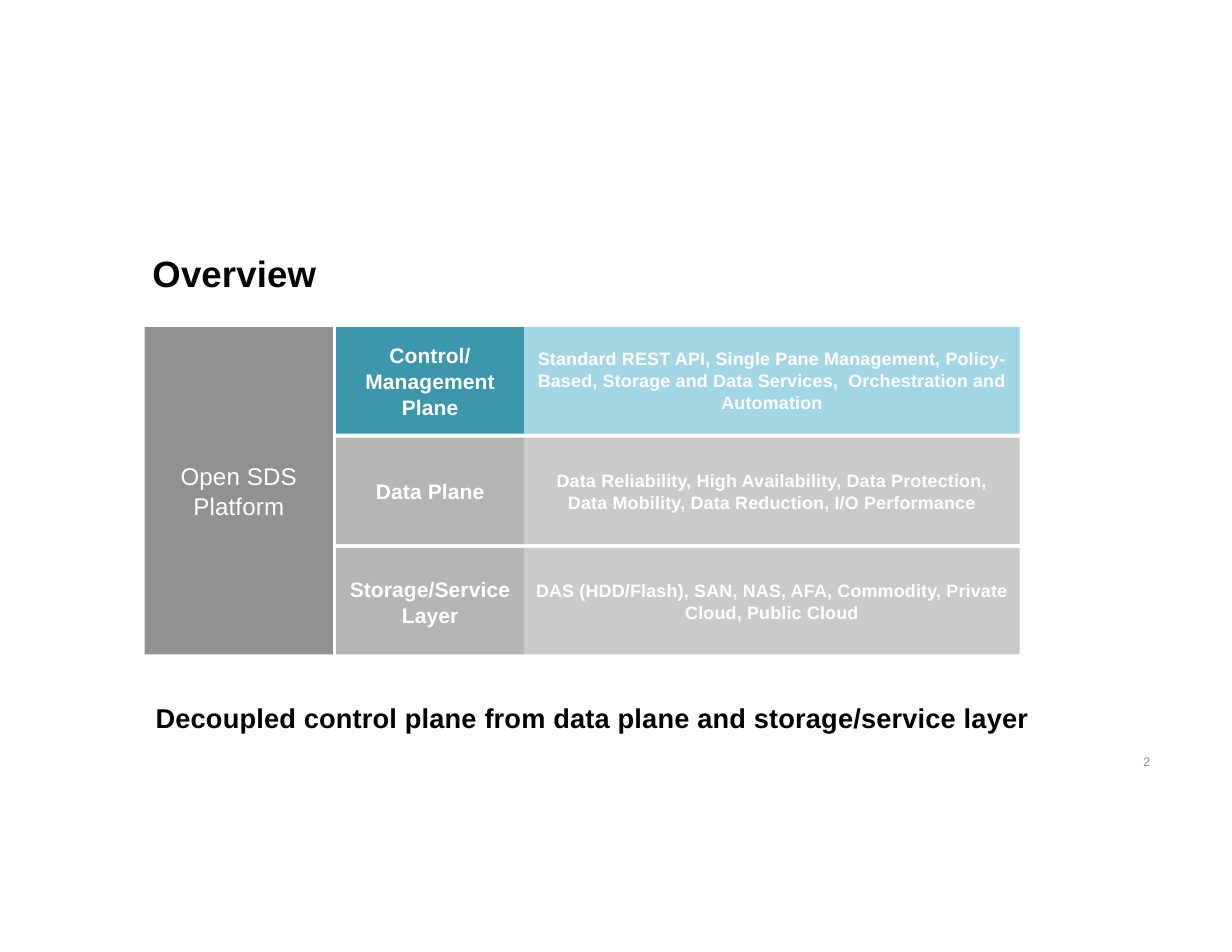
from dataclasses import dataclass

from pptx import Presentation
from pptx.dml.color import RGBColor
from pptx.enum.shapes import MSO_SHAPE
from pptx.enum.text import MSO_ANCHOR, PP_ALIGN
from pptx.slide import Slide
from pptx.util import Pt

LEFT, TOP = 93, 210.25
BLOCK_WIDTH, DETAIL_WIDTH = 121, 318.5
ROW_HEIGHT, GAP = 68.5, 2.5
LABEL_LEFT = LEFT + BLOCK_WIDTH + GAP - 0.5
DETAIL_LEFT = LABEL_LEFT + BLOCK_WIDTH

# label, details, label fill, detail fill
LAYERS = [
    ("Control/ Management Plane",
     "Standard REST API, Single Pane Management, Policy- Based, "
     "Storage and Data Services,  Orchestration and Automation",
     "3C97AC", "A2D6E4"),
    ("Data Plane",
     "Data Reliability, High Availability, Data Protection, "
     "Data Mobility, Data Reduction, I/O Performance",
     "B5B5B5", "CACACA"),
    ("Storage/Service Layer",
     "DAS (HDD/Flash), SAN, NAS, AFA, Commodity, "
     "Private Cloud, Public Cloud",
     "B5B5B5", "CACACA"),
]


def rgb(value):
    return RGBColor.from_string(value)


@dataclass
class SlideBuilder:
    slide: Slide
    font_name: str = "Arial"
    tracking: int = 10  # hundredths of a point
    line_spacing: float = 1.03

    def set_text(self, shape, text, size, color, bold=True, inset=0,
                 align=PP_ALIGN.LEFT, anchor=MSO_ANCHOR.TOP):
        frame = shape.text_frame
        frame.text = text
        frame.word_wrap = True
        frame.vertical_anchor = anchor
        frame.margin_left = frame.margin_right = Pt(inset)
        frame.margin_top = frame.margin_bottom = 0
        paragraph = frame.paragraphs[0]
        paragraph.alignment = align
        paragraph.line_spacing = self.line_spacing
        for run in paragraph.runs:
            run.font.name = self.font_name
            run.font.size = Pt(size)
            run.font.bold = bold
            run.font.color.rgb = rgb(color)
            run._r.get_or_add_rPr().set("spc", str(self.tracking))

    def title(self, text, left, top, width, height, size):
        shape = self.slide.shapes.title
        shape.left, shape.top = Pt(left), Pt(top)
        shape.width, shape.height = Pt(width), Pt(height)
        self.set_text(shape, text, size, "000000")

    def text(self, text, left, top, width, height, size, color, bold=True):
        shape = self.slide.shapes.add_textbox(
            Pt(left), Pt(top), Pt(width), Pt(height))
        self.set_text(shape, text, size, color, bold)

    def block(self, text, left, top, width, height, fill, size, bold=True):
        shape = self.slide.shapes.add_shape(
            MSO_SHAPE.RECTANGLE, Pt(left), Pt(top), Pt(width), Pt(height))
        shape.shadow.inherit = False
        shape.fill.solid()
        shape.fill.fore_color.rgb = rgb(fill)
        shape.line.fill.background()
        self.set_text(shape, text, size, "FFFFFF", bold, inset=7,
                      align=PP_ALIGN.CENTER, anchor=MSO_ANCHOR.MIDDLE)


def main():
    presentation = Presentation()
    presentation.slide_width, presentation.slide_height = Pt(792), Pt(612)
    title_only = presentation.slide_layouts[5]
    builder = SlideBuilder(presentation.slides.add_slide(title_only))

    builder.title("Overview", 98, 160.5, 598, 28, 23.5)

    platform_height = len(LAYERS) * (ROW_HEIGHT + GAP) - GAP
    builder.block("Open SDS Platform", LEFT, TOP, BLOCK_WIDTH,
                  platform_height, "919191", 15.5, bold=False)
    for row, (label, details, label_fill, detail_fill) in enumerate(LAYERS):
        top = TOP + row * (ROW_HEIGHT + GAP)
        builder.block(label, LABEL_LEFT, top, BLOCK_WIDTH, ROW_HEIGHT,
                      label_fill, 13.5)
        builder.block(details, DETAIL_LEFT, top, DETAIL_WIDTH, ROW_HEIGHT,
                      detail_fill, 11.5)

    builder.text("Decoupled control plane from data plane and "
                 "storage/service layer", 100, 450, 580, 20, 17.5, "000000")
    builder.text("2", 735, 484.5, 9, 10, 8, "898989", bold=False)

    presentation.save("out.pptx")


if __name__ == "__main__":
    main()
